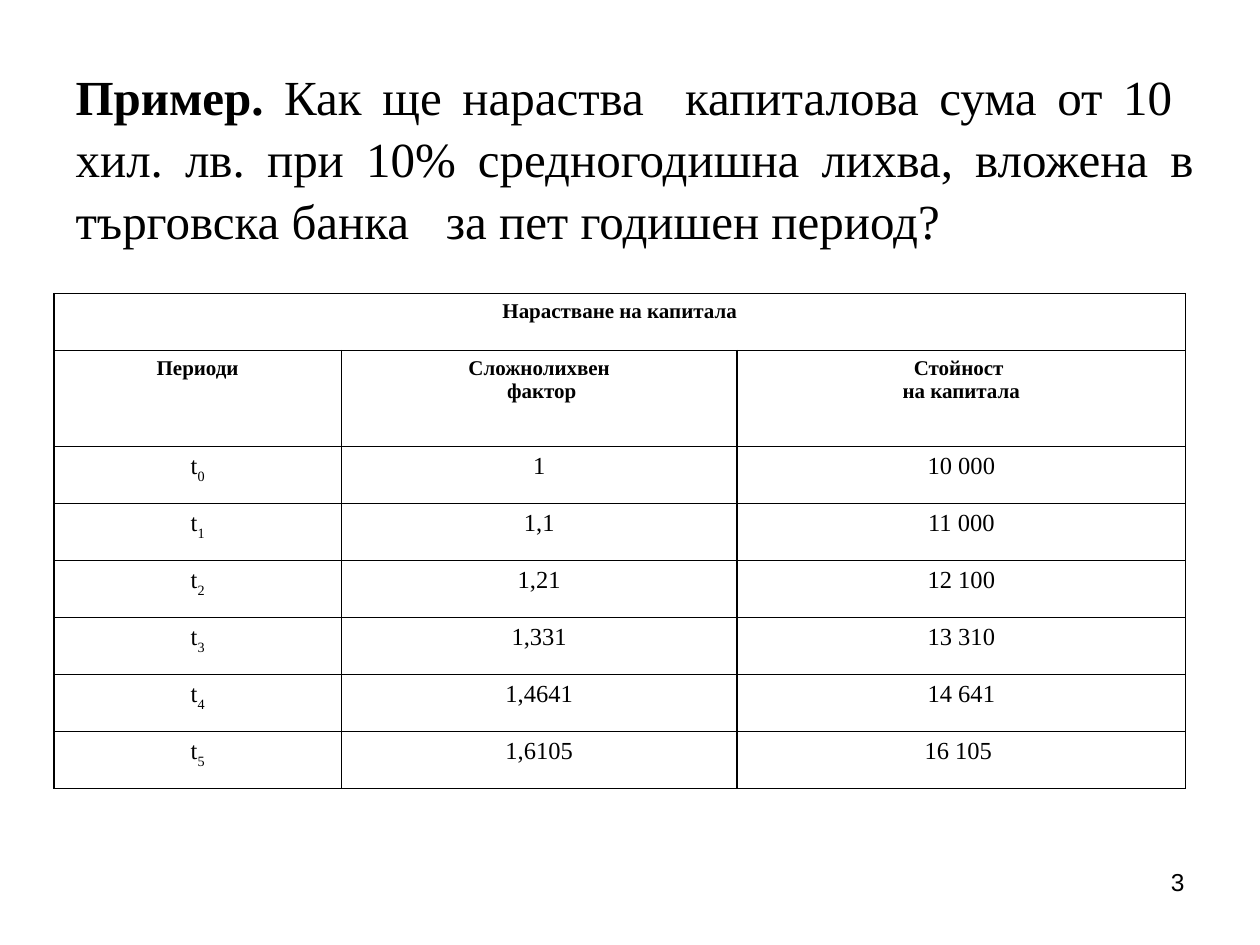
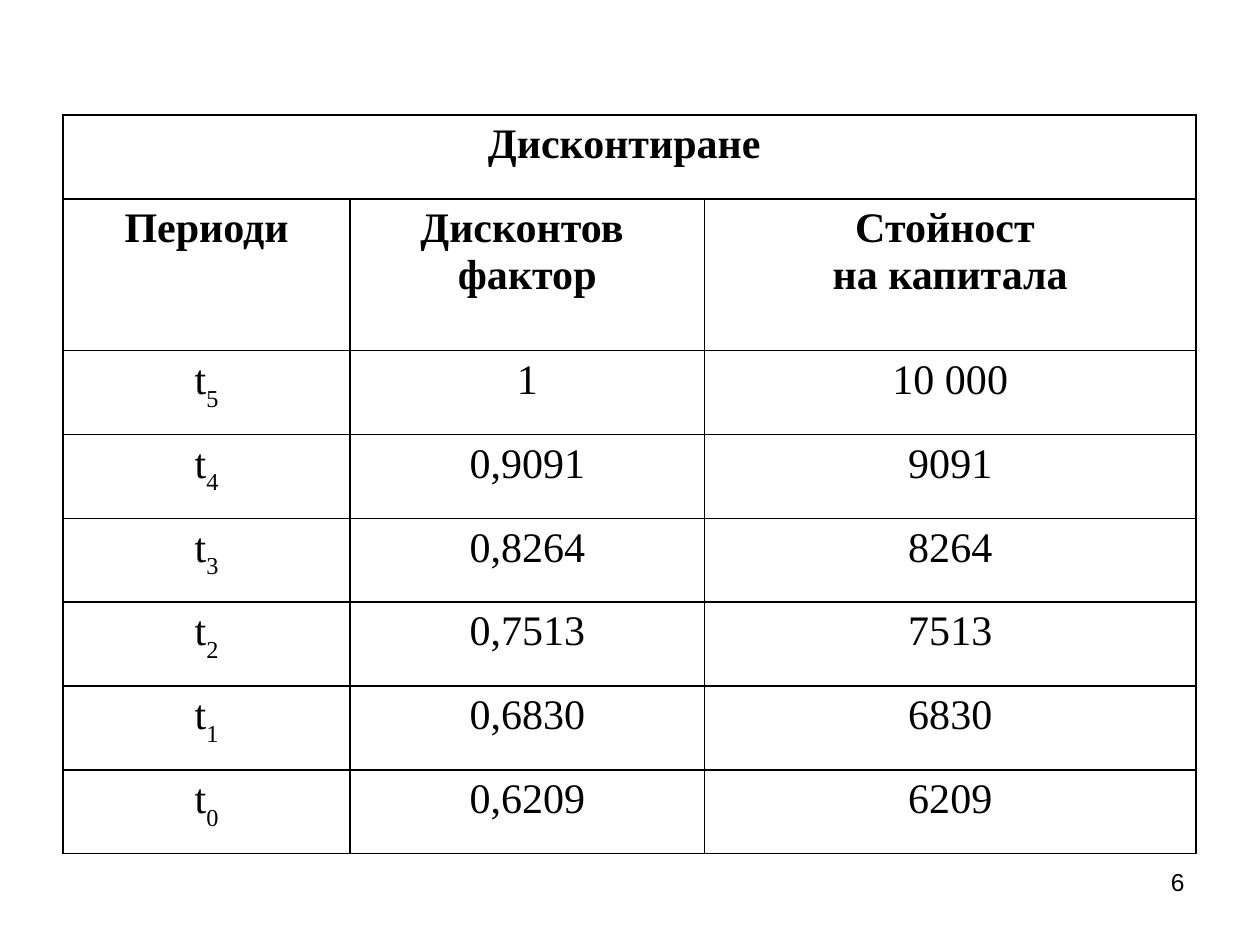
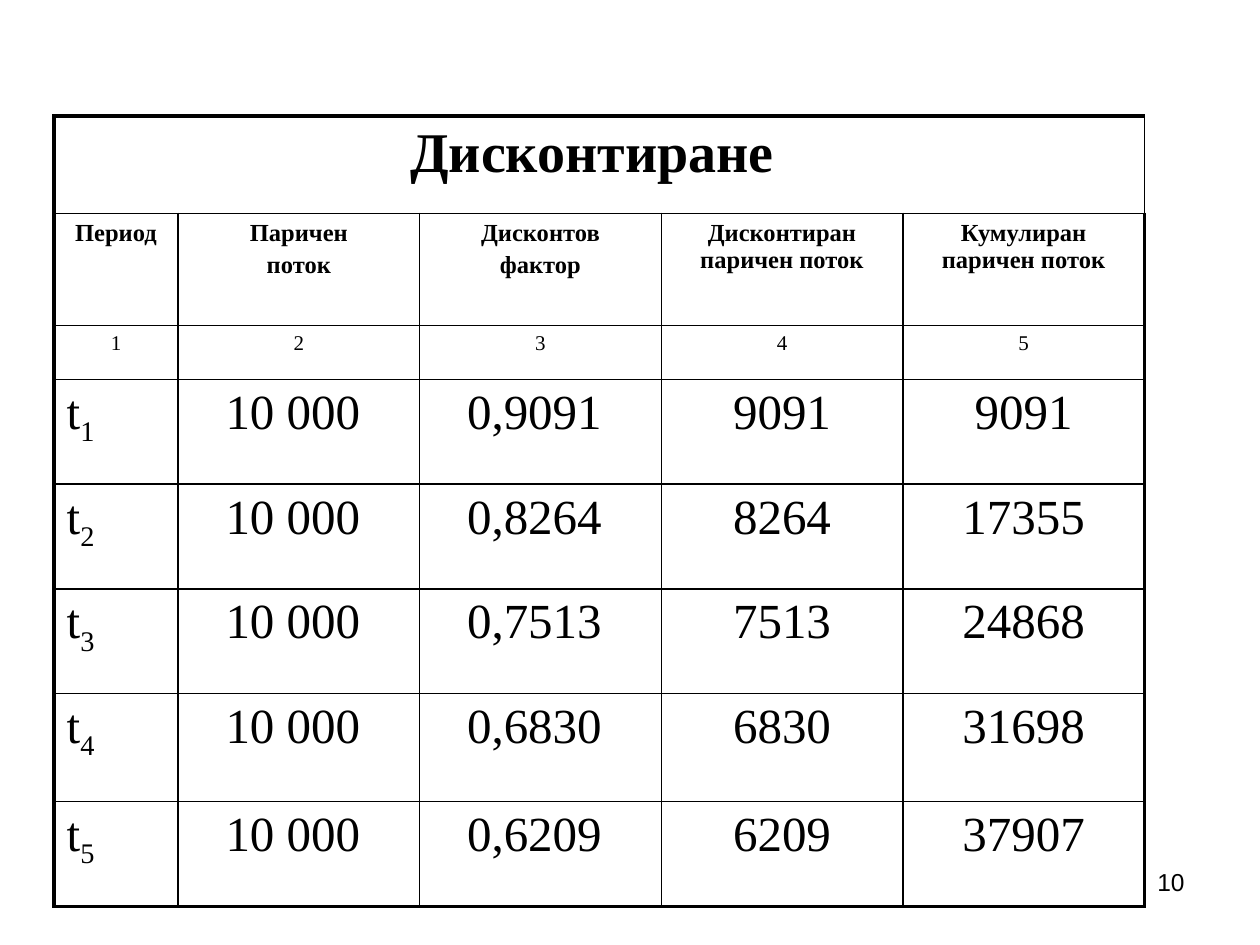
import pptx
import pptx.dml.color
import pptx.enum.text
import pptx.oxml
import pptx.oxml.ns
import pptx.util
from pptx.util import Cm

INK = "000000"
SERIF = "Times New Roman"
SANS = "Arial"
THIN, THICK = 1, 2.25
ALIGN = pptx.enum.text.PP_ALIGN
TITLE_ONLY, BLANK = 5, 6
NUMBER_BOX = (18.21, 17.35, 5.92, 1.32)


def color(value):
    return pptx.dml.color.RGBColor.from_string(value)


def style_paragraph(para, size, align, name=SERIF, bold=False):
    para.alignment = align
    para.font.name = name
    para.font.size = pptx.util.Pt(size)
    para.font.bold = bold
    para.font.color.rgb = color(INK)


def add_page(deck, layout, number):
    """Add a slide with its number at the lower right."""
    page = deck.slides.add_slide(deck.slide_layouts[layout])
    box = page.shapes.add_textbox(*map(Cm, NUMBER_BOX))
    box.text_frame.word_wrap = True
    para = box.text_frame.paragraphs[0]
    para.text = number
    style_paragraph(para, 14, ALIGN.RIGHT, SANS)
    return page


def fill_title(page, box, lead, question):
    title = page.shapes.title
    title.left, title.top, title.width, title.height = map(Cm, box)
    frame = title.text_frame
    frame.auto_size = pptx.enum.text.MSO_AUTO_SIZE.NONE
    frame.vertical_anchor = pptx.enum.text.MSO_ANCHOR.MIDDLE
    para = frame.paragraphs[0]
    style_paragraph(para, 28, ALIGN.JUSTIFY)
    para.line_spacing = 1.05
    for text, bold in ((lead, True), (question, False)):
        span = para.add_run()
        span.text = text
        span.font.bold = bold


def set_border(cell, side, width):
    line = pptx.oxml.parse_xml(
        f'<a:ln{side} {pptx.oxml.ns.nsdecls("a")} w="{int(pptx.util.Pt(width))}">'
        f'<a:solidFill><a:srgbClr val="{INK}"/></a:solidFill></a:ln{side}>')
    cell._tc.get_or_add_tcPr().append(line)


def fill_cell(cell, text, size, bold, align, drop):
    """Write one paragraph per line; an underscore starts a subscript."""
    frame = cell.text_frame
    for index, line in enumerate(text.split("\n")):
        para = frame.add_paragraph() if index else frame.paragraphs[0]
        style_paragraph(para, size, align, bold=bold)
        if index and drop == -25:
            para.space_before = pptx.util.Pt(size * 0.2)
        base, _, subscript = line.partition("_")
        para.add_run().text = base
        if subscript:
            span = para.add_run()
            span.text = subscript
            span.font._element.set("baseline", str(drop * 1000))


def add_grid(page, corner, widths, heights, rows, styles,
             frame_width=THIN, period_align=ALIGN.CENTER, drop=-30):
    """Add a ruled table whose first row is a merged heading."""
    size = (sum(widths), sum(heights))
    shape = page.shapes.add_table(len(heights), len(widths), *map(Cm, corner + size))
    table = shape.table
    table.first_row = table.horz_banding = False
    for column, width in zip(table.columns, widths):
        column.width = Cm(width)
    for row, height in zip(table.rows, heights):
        row.height = Cm(height)
    last_row, last_column = len(heights) - 1, len(widths) - 1
    table.cell(0, 0).merge(table.cell(0, last_column))

    # Text
    for r, (texts, (points, bold)) in enumerate(zip(rows, styles)):
        for c, text in enumerate(texts):
            align = period_align if text.startswith("t_") else ALIGN.CENTER
            fill_cell(table.cell(r, c), text, points, bold, align, drop)

    # Rules: the outer frame may be heavier than the inner lines
    for r in range(last_row + 1):
        for c in range(last_column + 1):
            cell = table.cell(r, c)
            edges = {"L": c == 0, "R": c == last_column, "T": r == 0, "B": r == last_row}
            for side, outer in edges.items():
                set_border(cell, side, frame_width if outer else THIN)
            cell.fill.background()


def growth_slide(deck):
    page = add_page(deck, TITLE_ONLY, "3")
    fill_title(page, (1.27, 0.76, 23.04, 4.78), "Пример.",
               " Как ще нараства  капиталова сума от 10  хил. лв. при 10% "
               "средногодишна лихва, вложена в търговска банка   за пет годишен период?")
    rows = [
        ("Нарастване на капитала",),
        ("Периоди", "Сложнолихвен\n фактор", "Стойност \nна капитала"),
        ("t_0", "1", "10 000"),
        ("t_1", "1,1", "11 000"),
        ("t_2", "1,21", "12 100"),
        ("t_3", "1,331", "13 310"),
        ("t_4", "1,4641", "14 641"),
        ("t_5", "1,6105", "16 105 "),
    ]
    add_grid(page, (1.09, 5.92), (5.79, 7.98, 9.04), (1.15, 1.93) + (1.15,) * 6,
             rows, [(12, True)] * 2 + [(14, False)] * 6)


def discount_slide(deck):
    page = add_page(deck, BLANK, "6")
    rows = [
        ("Дисконтиране ",),
        ("Периоди", "Дисконтов \nфактор", "Стойност \nна капитала"),
        ("t_5", "1", "10 000"),
        ("t_4", "0,9091", "9091"),
        ("t_3", "0,8264", "8264"),
        ("t_2", "0,7513", "7513"),
        ("t_1", "0,6830", "6830"),
        ("t_0", "0,6209", "6209"),
    ]
    add_grid(page, (1.27, 2.32), (5.79, 7.14, 9.91), (1.69, 3.06) + (1.69,) * 6,
             rows, [(24, True)] * 2 + [(24, False)] * 6)


def cash_flow_slide(deck):
    page = add_page(deck, BLANK, "10")
    rows = [
        ("Дисконтиране ",),
        ("Период", "Паричен\nпоток", "Дисконтов\nфактор",
         "Дисконтиран паричен поток", "Кумулиран паричен поток"),
        ("1", "2", "3", "4", "5"),
        ("t_1", "10 000 ", "0,9091 ", "9091", "9091"),
        ("t_2", "10 000 ", "0,8264 ", "8264", "17355"),
        ("t_3", "10 000 ", "0,7513 ", "7513", "24868"),
        ("t_4", "10 000 ", "0,6830 ", "6830", "31698"),
        ("t_5", "10 000 ", "0,6209 ", "6209", "37907"),
    ]
    add_grid(page, (1.09, 2.34), (2.5,) + (4.87,) * 4,
             (1.96, 2.26, 1.09, 2.11, 2.11, 2.11, 2.18, 2.11), rows,
             [(32, True), (14, True), (12, False)] + [(28, False)] * 5,
             frame_width=THICK, period_align=ALIGN.LEFT, drop=-25)


def main():
    deck = pptx.Presentation()
    deck.slide_width, deck.slide_height = Cm(25.4), Cm(19.05)
    growth_slide(deck)
    discount_slide(deck)
    cash_flow_slide(deck)
    deck.save("out.pptx")


if __name__ == "__main__":
    main()
